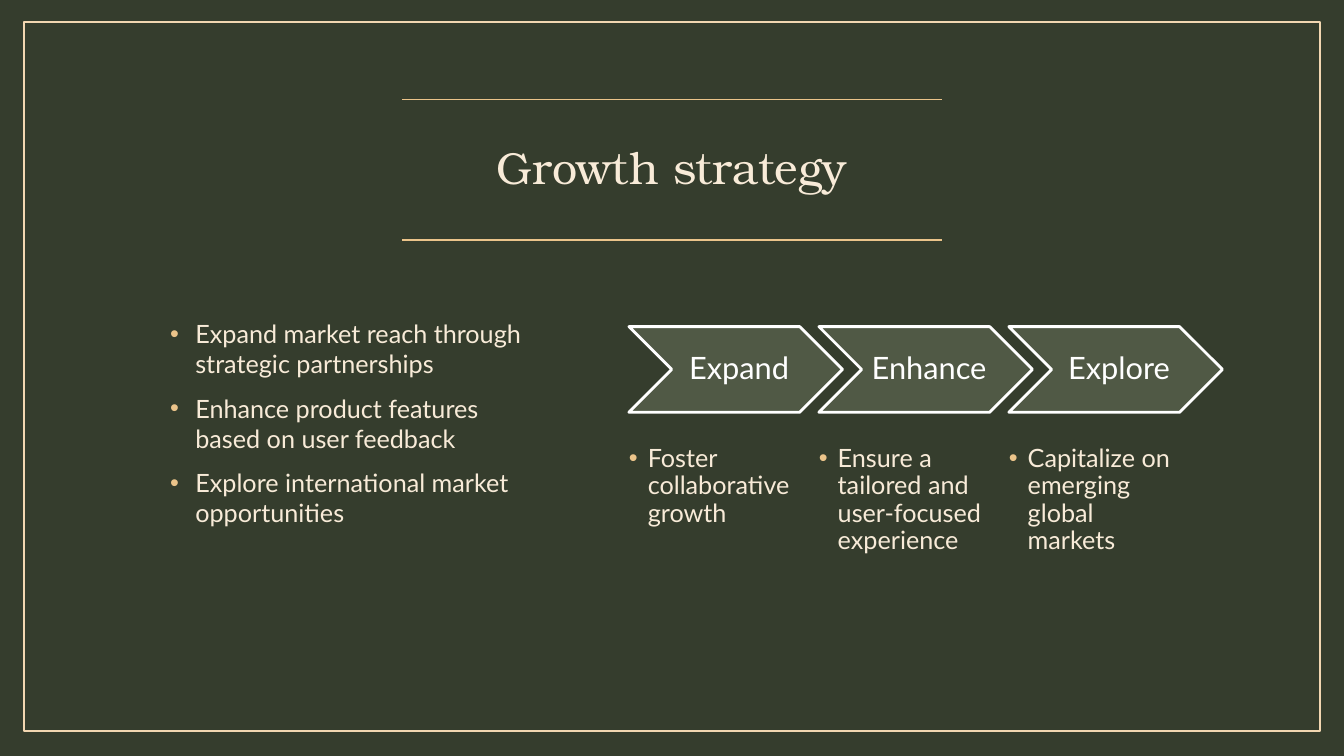
import pptx
import pptx.dml.color
import pptx.enum.shapes
import pptx.enum.text
import pptx.oxml.ns
import pptx.util
from lxml import etree

Pt = pptx.util.Pt
SHAPE = pptx.enum.shapes.MSO_SHAPE
ALIGN = pptx.enum.text.PP_ALIGN
ANCHOR = pptx.enum.text.MSO_ANCHOR

COLORS = {
    "background": "353D2D",
    "frame": "F2D7B1",
    "accent": "EBC48A",
    "text": "F8EBD8",
    "chevron": "505945",
    "white": "FFFFFF",
}
SERIF, SANS = "TeX Gyre Bonum", "Lato"

GOALS = [
    "Expand market reach through strategic partnerships",
    "Enhance product features based on user feedback",
    "Explore international market opportunities",
]
STAGES = [
    ("Expand", "Foster collaborative growth"),
    ("Enhance", "Ensure a tailored and user-focused experience"),
    ("Explore", "Capitalize on emerging global markets"),
]
STAGE_LEFT, STAGE_STEP = 449.2, 135.7


def rgb(name):
    return pptx.dml.color.RGBColor.from_string(COLORS[name])


def add_bullet(p, indent):
    pPr = p._p.get_or_add_pPr()
    pPr.set("marL", str(Pt(indent)))
    pPr.set("indent", str(-Pt(indent)))
    qn = pptx.oxml.ns.qn
    clr = etree.SubElement(pPr, qn("a:buClr"))
    etree.SubElement(clr, qn("a:srgbClr")).set("val", COLORS["accent"])
    etree.SubElement(pPr, qn("a:buFont")).set("typeface", "Arial")
    etree.SubElement(pPr, qn("a:buChar")).set("char", "•")


def write_text(sp, lines, size=18, font=SANS, color="text", align=ALIGN.LEFT,
               anchor=ANCHOR.TOP, insets=(7.2, 3.6, 7.2, 3.6), spacing=1.0,
               before=0, indent=None):
    tf = sp.text_frame
    tf.word_wrap = True
    tf.vertical_anchor = anchor
    tf.margin_left, tf.margin_top, tf.margin_right, tf.margin_bottom = map(Pt, insets)
    for i, line in enumerate(lines):
        p = tf.add_paragraph() if i else tf.paragraphs[0]
        if indent:
            add_bullet(p, indent)
        p.alignment = align
        p.line_spacing = spacing
        p.space_before = Pt(before if i else 0)
        r = p.add_run()
        r.text = line
        r.font.size, r.font.name = Pt(size), font
        r.font.color.rgb = rgb(color)


def add_text(slide, box, lines, **fmt):
    write_text(slide.shapes.add_textbox(*map(Pt, box)), lines, **fmt)


def add_box(slide, kind, box, line, width, fill=None):
    sp = slide.shapes.add_shape(kind, *map(Pt, box))
    sp.shadow.inherit = False
    if fill:
        sp.fill.solid()
        sp.fill.fore_color.rgb = rgb(fill)
    else:
        sp.fill.background()
    sp.line.color.rgb = rgb(line)
    sp.line.width = Pt(width)
    return sp


def add_rule(slide, left, right, y):
    line = slide.shapes.add_connector(
        pptx.enum.shapes.MSO_CONNECTOR.STRAIGHT, Pt(left), Pt(y), Pt(right), Pt(y))
    line.line.color.rgb = rgb("accent")
    line.line.width = Pt(1)
    etree.SubElement(line._element.spPr, pptx.oxml.ns.qn("a:effectLst"))


def add_stage(slide, left, label, detail):
    sp = add_box(slide, SHAPE.CHEVRON, (left, 233.3, 152.6, 61.2),
                 "white", 2, fill="chevron")
    write_text(sp, [label], size=22, color="white", align=ALIGN.CENTER,
               anchor=ANCHOR.MIDDLE, insets=(7.2, 2.2, 2.2, 2.2), spacing=0.9)
    add_text(slide, (left, 318.5, 122.1, 79.2), [detail],
             insets=(0, 0, 0, 0), spacing=0.9, indent=13.5)


def main():
    prs = pptx.Presentation()
    prs.slide_width, prs.slide_height = Pt(960), Pt(540)
    slide = prs.slides.add_slide(prs.slide_layouts[6])
    slide.background.fill.solid()
    slide.background.fill.fore_color.rgb = rgb("background")

    # Frame and title between two rules
    add_box(slide, SHAPE.RECTANGLE, (17, 15.6, 926, 506.8), "frame", 1.5)
    for y in (71, 171.4):
        add_rule(slide, 287.2, 672.8, y)
    add_text(slide, (116.6, 71, 726.8, 100.4), ["Growth strategy"], size=32,
             font=SERIF, align=ALIGN.CENTER, anchor=ANCHOR.MIDDLE, spacing=0.9)

    # Goals on the left
    add_text(slide, (114.5, 224, 276.5, 246), GOALS, before=10, indent=18)

    # Stages on the right
    for i, (label, detail) in enumerate(STAGES):
        add_stage(slide, STAGE_LEFT + i * STAGE_STEP, label, detail)

    prs.save("out.pptx")


if __name__ == "__main__":
    main()
